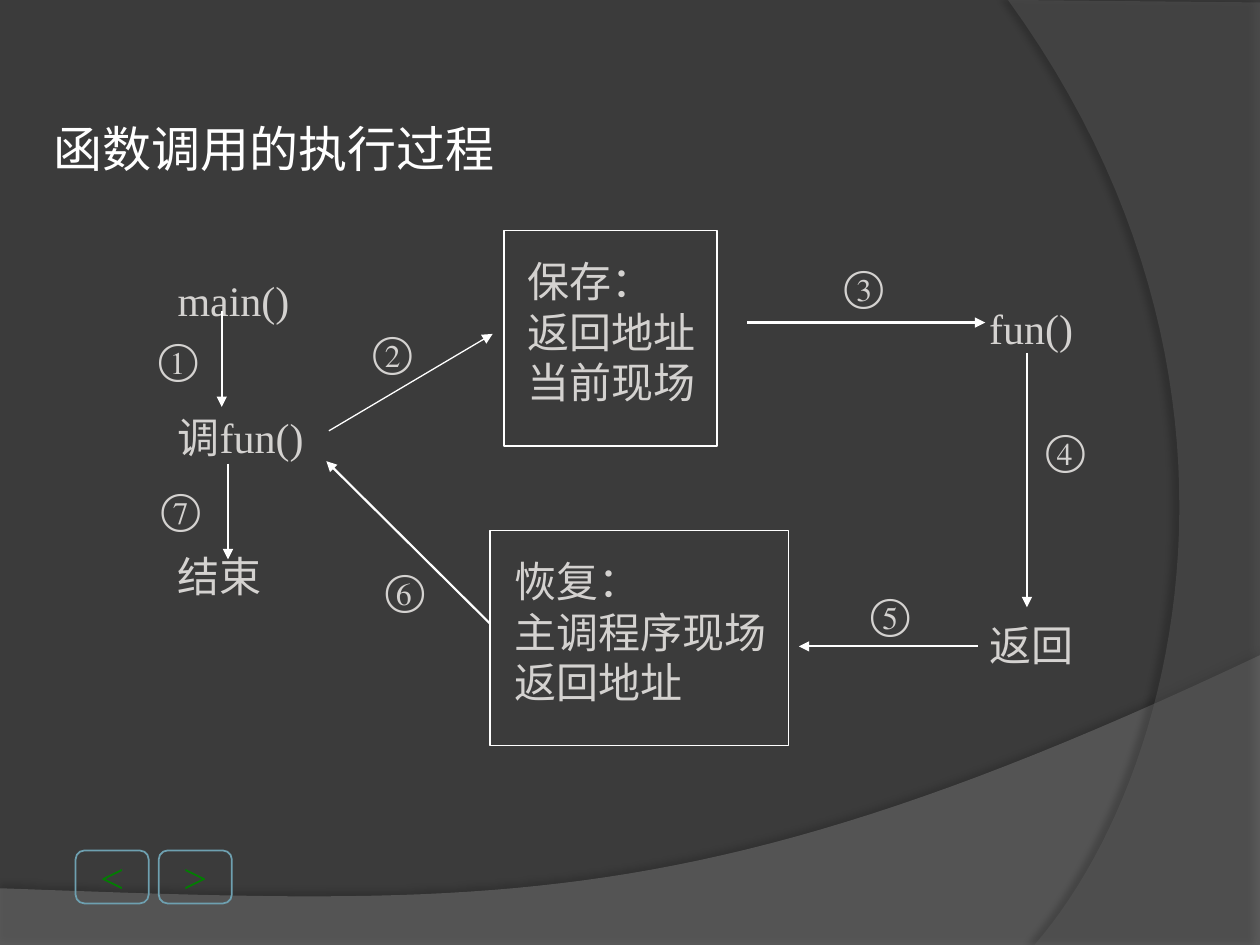
from lxml import etree
from pptx import Presentation
from pptx.dml.color import RGBColor
from pptx.enum.shapes import MSO_CONNECTOR, MSO_SHAPE
from pptx.enum.text import MSO_ANCHOR, PP_ALIGN
from pptx.oxml.ns import qn
from pptx.util import Inches, Pt

RECTANGLE, ROUNDED = MSO_SHAPE.RECTANGLE, MSO_SHAPE.ROUNDED_RECTANGLE
STRAIGHT = MSO_CONNECTOR.STRAIGHT
TOP, MIDDLE, BOTTOM = MSO_ANCHOR.TOP, MSO_ANCHOR.MIDDLE, MSO_ANCHOR.BOTTOM
LEFT, CENTER, JUSTIFY = PP_ALIGN.LEFT, PP_ALIGN.CENTER, PP_ALIGN.JUSTIFY

BACKGROUND = RGBColor(0x3B, 0x3B, 0x3B)
WAVE = RGBColor(0x7F, 0x7F, 0x7F)
ARC = RGBColor(0x5E, 0x5E, 0x5E)
BLACK = RGBColor(0, 0, 0)
WHITE = RGBColor(0xFF, 0xFF, 0xFF)
TEXT = RGBColor(0xD4, 0xD2, 0xD0)
BUTTON = RGBColor(0x6E, 0xA0, 0xB0)
GREEN = RGBColor(0, 0x80, 0)


def bezier(start, first, second, end, steps=48):
    points = []
    for step in range(steps + 1):
        t = step / steps
        weights = ((1 - t) ** 3, 3 * t * (1 - t) ** 2, 3 * t * t * (1 - t), t ** 3)
        corners = (start, first, second, end)
        points.append(tuple(sum(w * c[axis] for w, c in zip(weights, corners)) for axis in (0, 1)))
    return points


class FlowSlide:
    """Holds the slide and its style and draws each kind of element."""

    font = "Times New Roman"

    def __init__(self, page):
        self.page = page
        page.background.fill.solid()
        page.background.fill.fore_color.rgb = BACKGROUND

    def add_text(self, shape, lines, size=24, color=TEXT, align=JUSTIFY, anchor=TOP,
                 insets=(0, 0, 0, 0), indent=0, wrap=True):
        frame = shape.text_frame
        frame.word_wrap = wrap
        frame.vertical_anchor = anchor
        frame.margin_left, frame.margin_top, frame.margin_right, frame.margin_bottom = map(Inches, insets)
        for index, line in enumerate(lines):
            para = frame.add_paragraph() if index else frame.paragraphs[0]
            para.alignment = align
            if indent:
                para._p.get_or_add_pPr().set("marL", str(Inches(indent)))
            span = para.add_run()
            span.text = line
            span.font.name = self.font
            span.font.size = Pt(size)
            span.font.color.rgb = color

    def label(self, left, top, width, height, text, **style):
        box = self.page.shapes.add_textbox(*map(Inches, (left, top, width, height)))
        self.add_text(box, [text], **style)

    def box(self, kind, left, top, width, height, lines, line_color, line_width, **style):
        shape = self.page.shapes.add_shape(kind, *map(Inches, (left, top, width, height)))
        shape.shadow.inherit = False
        shape.fill.background()
        shape.line.color.rgb = line_color
        shape.line.width = Pt(line_width)
        self.add_text(shape, lines, **style)

    def arrow(self, start, end, width=1.25):
        line = self.page.shapes.add_connector(STRAIGHT, *map(Inches, start + end))
        line.line.color.rgb = WHITE
        line.line.width = Pt(width)
        properties = line._element.spPr
        etree.SubElement(properties.find(qn("a:ln")), qn("a:tailEnd"), type="triangle")
        etree.SubElement(properties, qn("a:effectLst"))

    def swoosh(self, points, color, opacity, shadow_opacity, distance, direction):
        places = [tuple(map(Inches, point)) for point in points]
        builder = self.page.shapes.build_freeform(*places[0])
        builder.add_line_segments(places[1:], close=True)
        shape = builder.convert_to_shape()
        shape.fill.solid()
        shape.fill.fore_color.rgb = color
        shape.line.fill.background()
        shape.shadow.inherit = False
        properties = shape._element.spPr
        fill = properties.find(qn("a:solidFill")).find(qn("a:srgbClr"))
        etree.SubElement(fill, qn("a:alpha"), val=str(opacity * 1000))
        shadow = etree.SubElement(properties.find(qn("a:effectLst")), qn("a:outerShdw"),
                                  blurRad=str(Pt(4)), dist=str(Pt(distance)),
                                  dir=str(direction * 60000), rotWithShape="0")
        tint = etree.SubElement(shadow, qn("a:srgbClr"), val=str(BLACK))
        etree.SubElement(tint, qn("a:alpha"), val=str(shadow_opacity * 1000))


def main():
    deck = Presentation()
    deck.slide_width, deck.slide_height = Inches(10), Inches(7.5)
    flow = FlowSlide(deck.slides.add_slide(deck.slide_layouts[6]))

    wave = bezier((10, 5.2), (5.59, 7.29), (3.91, 7.19), (0, 7.05))
    flow.swoosh([(0, 7.51), (10, 7.51)] + wave, WAVE, 45, 35, 3.5, 270)
    arc = bezier((8.21, 7.5), (9.35, 6.19), (10.18, 3), (8, 0))
    flow.swoosh([(10, 0.02), (10, 7.5)] + arc, ARC, 40, 45, 4, 180)

    flow.label(0.33, 0.96, 4.34, 0.5, "函数调用的执行过程", size=28, color=WHITE,
               align=LEFT, anchor=BOTTOM, insets=(0.1, 0.05, 0.1, 0.05))
    for index, symbol in enumerate("<>"):
        flow.box(ROUNDED, 0.6 + 0.66 * index, 6.75, 0.58, 0.42, [symbol], BUTTON, 1,
                 color=GREEN, align=CENTER, anchor=MIDDLE, wrap=False)

    for left, top, text in (
        (1.41, 2.13, "main()"), (1.41, 3.22, "调fun()"), (1.41, 4.32, "结束"),
        (7.85, 2.35, "fun()"), (7.85, 4.87, "返回"),
    ):
        flow.label(left, top, 1.3, 0.5, text, anchor=MIDDLE)

    for left, top, width, lines in (
        (4, 1.83, 1.69, ["保存：", "返回地址", "当前现场"]),
        (3.89, 4.21, 2.37, ["恢复：", "主调程序现场", "返回地址"]),
    ):
        flow.box(RECTANGLE, left, top, width, 1.71, lines, WHITE, 0.75,
                 insets=(0, 0.2, 0, 0), indent=0.19)

    flow.arrow((2.61, 3.42), (3.91, 2.65), 0.75)
    for start, end in (
        ((1.76, 2.47), (1.76, 3.23)), ((1.81, 3.68), (1.81, 4.44)),
        ((5.93, 2.56), (7.82, 2.56)), ((8.15, 2.8), (8.15, 4.82)),
        ((7.76, 5.13), (6.34, 5.13)), ((3.89, 4.95), (2.59, 3.66)),
    ):
        flow.arrow(start, end)

    steps = ((1.26, 2.64), (2.96, 2.58), (6.7, 2.06), (8.3, 3.36),
             (6.91, 4.66), (3.06, 4.47), (1.28, 3.83))
    for number, (left, top) in zip("①②③④⑤⑥⑦", steps):
        flow.label(left, top, 0.4, 0.51, number)

    deck.save("out.pptx")


if __name__ == "__main__":
    main()
